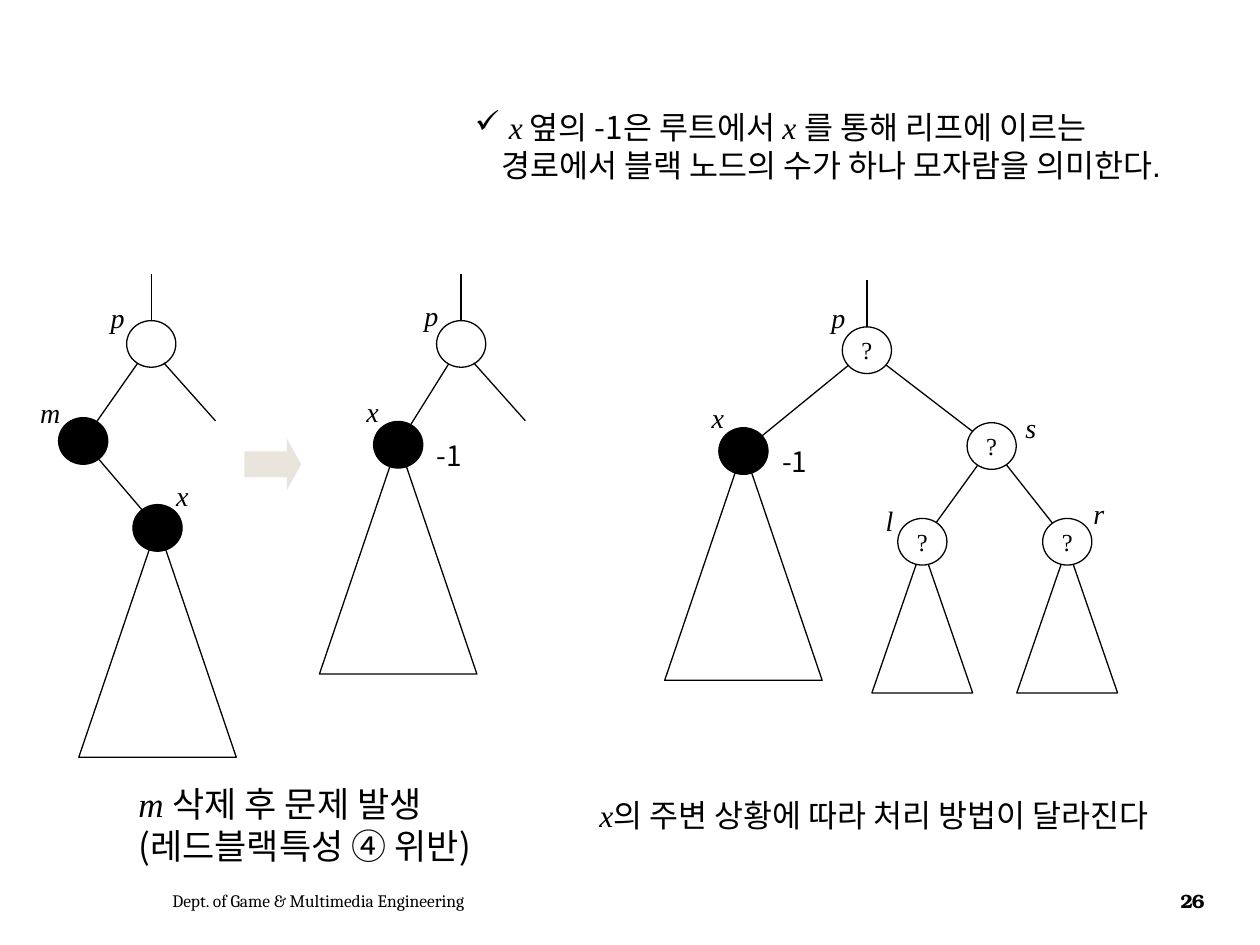
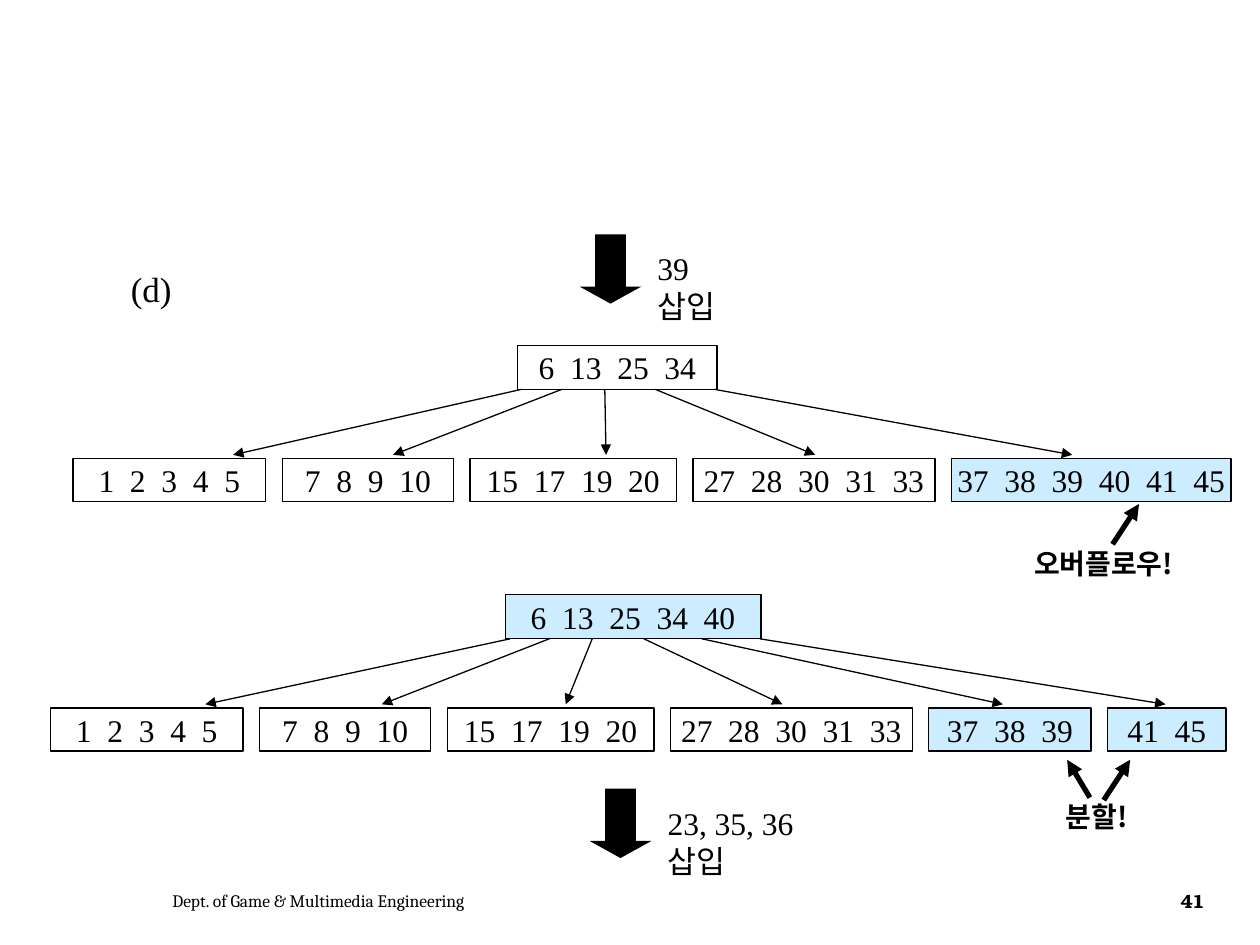
"""Builds two slides on red-black tree deletion and B-tree insertion."""
from math import hypot

from lxml.etree import SubElement
from pptx import Presentation
from pptx.dml.color import RGBColor
from pptx.enum.shapes import MSO_CONNECTOR, MSO_SHAPE as SHAPE
from pptx.enum.text import MSO_ANCHOR as ANCHOR, MSO_AUTO_SIZE as AUTO, PP_ALIGN as ALIGN
from pptx.oxml.ns import qn
from pptx.util import Inches, Pt

COLORS = {"ink": "000000", "paper": "FFFFFF", "sand": "E9E5DC", "changed": "CCECFF"}
SERIF, KOREAN, SANS = "Times New Roman", "Noto Sans CJK KR", "Arial"
FOOTER = "Dept. of Game & Multimedia Engineering"

NODE_W, NODE_H, TRIM, STUB = 0.39, 0.37, 0.19, 0.37
LARGE, SMALL = (1.25, 1.84, -0.02), (0.8, 1.16, 0.04)

TREES = [
    {"nodes": {"p": (1.2, 2.73, "paper", ""), "m": (0.66, 3.5, "ink", ""),
               "x": (1.25, 4.19, "ink", "")},
     "edges": ["pm", "mx"], "subtrees": {"x": LARGE}, "open_branch": True,
     "labels": {"p": (0.78, 2.34), "m": (0.22, 3.09), "x": (1.3, 3.75)}},
    {"nodes": {"p": (3.66, 2.73, "paper", ""), "x": (3.16, 3.53, "ink", "")},
     "edges": ["px"], "subtrees": {"x": LARGE}, "open_branch": True,
     "labels": {"p": (3.27, 2.32), "x": (2.81, 3.08)}, "deficit": (3.37, 3.43)},
    {"nodes": {"p": (6.88, 2.78, "paper", "?"), "x": (5.9, 3.58, "ink", ""),
               "s": (7.87, 3.54, "paper", "?"), "l": (7.32, 4.3, "paper", "?"),
               "r": (8.47, 4.3, "paper", "?")},
     "edges": ["px", "ps", "sl", "sr"],
     "subtrees": {"x": LARGE, "l": SMALL, "r": SMALL}, "open_branch": False,
     "labels": {"p": (6.5, 2.34), "x": (5.55, 3.13), "s": (8.04, 3.21),
                "l": (6.93, 3.95), "r": (8.58, 3.89)}, "deficit": (6.11, 3.48)},
]
DELETION_PROBLEM = [
    [("m ", SERIF, True), ("삭제 후 문제 발생", KOREAN, False)],
    [("(레드블랙특성 ④ 위반)", KOREAN, False)],
]
CASES_DIFFER = [[("x", SERIF, True), ("의 주변 상황에 따라 처리 방법이 달라진다", KOREAN, False)]]
DEFICIT_MEANING = [
    [("x", SERIF, True), (" 옆의 -1은 루트에서 ", KOREAN, False), ("x ", SERIF, True),
     ("를 통해 리프에 이르는", SANS, False)],
    [("경로에서 블랙 노드의 수가 하나 모자람을 의미한다.", SANS, False)],
]

LEAF_GAP, LEAF_H, ROOT_H, POINTER_GAP = 0.13, 0.34, 0.35, 0.03
STABLE_LEAVES = [((1, 2, 3, 4, 5), 1.53, None), ((7, 8, 9, 10), 1.36, None),
                 ((15, 17, 19, 20), 1.64, None), ((27, 28, 30, 31, 33), 1.92, None)]
B_TREES = [
    {"root": ((6, 13, 25, 34), 1.58, None), "root_at": (4.11, 2.74), "leaves_at": (0.58, 3.64),
     "leaves": STABLE_LEAVES + [((37, 38, 39, 40, 41, 45), 2.22, "changed")],
     "pointers": [(4.14, 1.85), (4.46, 3.12), (4.8, 4.81), (5.2, 6.47), (5.67, 8.51)]},
    {"root": ((6, 13, 25, 34, 40), 2.03, "changed"), "root_at": (4.01, 4.72),
     "leaves_at": (0.4, 5.62),
     "leaves": STABLE_LEAVES + [((37, 38, 39), 1.29, "changed"), ((41, 45), 0.94, "changed")],
     "pointers": [(4.05, 1.63), (4.36, 3.03), (4.7, 4.49), (5.11, 6.21), (5.57, 7.96),
                  (6.03, 9.25)]},
]
INSERTIONS = [("39 삽입", 4.6, 1.86, 0.9), ("23, 35, 36 삽입", 4.68, 6.26, 1.5)]
REMARKS = [("오버플로우!", 8.11, 4.29, 1.37), ("분할!", 8.36, 6.3, 0.71)]
REMARK_ARROWS = [((8.83, 4.32), (9.04, 4)), ((8.76, 6.35), (8.97, 6.03)),
                 ((8.65, 6.33), (8.47, 6.03))]


def rgb(name):
    return RGBColor.from_string(COLORS[name])


def add_run(paragraph, text, font, size, italic=False, bold=False):
    run = paragraph.add_run()
    run.text = text
    run.font.size, run.font.italic, run.font.bold = Pt(size), italic, bold
    run.font.color.rgb = rgb("ink")
    run.font.name = font
    SubElement(run.font._element, qn("a:ea")).set("typeface", KOREAN)
    return run


def add_text(slide, left, top, width, height, paragraphs, size, bold=False, wrap=False):
    box = slide.shapes.add_textbox(*map(Inches, (left, top, width, height)))
    frame = box.text_frame
    frame.word_wrap, frame.auto_size = wrap, AUTO.SHAPE_TO_FIT_TEXT
    for index, runs in enumerate(paragraphs):
        paragraph = frame.add_paragraph() if index else frame.paragraphs[0]
        for text, font, italic in runs:
            add_run(paragraph, text, font, size, italic, bold)
    return frame


def add_figure(slide, kind, left, top, width, height, fill=None, outlined=True, text="", size=14):
    figure = slide.shapes.add_shape(kind, *map(Inches, (left, top, width, height)))
    figure.shadow.inherit = False
    if fill:
        figure.fill.solid()
        figure.fill.fore_color.rgb = rgb(fill)
    else:
        figure.fill.background()
    if outlined:
        figure.line.color.rgb, figure.line.width = rgb("ink"), Pt(0.75)
    else:
        figure.line.fill.background()
    if text:
        frame = figure.text_frame
        frame.word_wrap, frame.vertical_anchor = False, ANCHOR.MIDDLE
        frame.paragraphs[0].alignment = ALIGN.CENTER
        add_run(frame.paragraphs[0], text, SERIF, size)
    return figure


def add_line(slide, start, end, width=0.75, arrow=False):
    line = slide.shapes.add_connector(MSO_CONNECTOR.STRAIGHT, *map(Inches, (*start, *end)))
    line.line.color.rgb, line.line.width = rgb("ink"), Pt(width)
    if arrow:
        SubElement(line.line._get_or_add_ln(), qn("a:tailEnd")).set("type", "triangle")
    SubElement(line._element.spPr, qn("a:effectLst"))


def add_block_arrow(slide, kind, left, top, width, height, fill):
    arrow = add_figure(slide, kind, left, top, width, height, fill, outlined=False)
    arrow.adjustments[0], arrow.adjustments[1] = 0.5, 0.276


def add_footer(slide, number):
    for text, left, width, font, size in ((FOOTER, 1.27, 4.59, "Cambria", 10),
                                          (number, 9.2, 0.53, "TeX Gyre Bonum", 11)):
        is_number = text == number
        frame = add_text(slide, left, 6.95, width, 0.4, [], size, wrap=True)
        frame.auto_size, frame.vertical_anchor = AUTO.NONE, ANCHOR.MIDDLE
        run = add_run(frame.paragraphs[0], text, font, size, bold=is_number)
        if is_number:
            frame.paragraphs[0].alignment = ALIGN.CENTER
            run.font._element.set("spc", "-70")


def draw_tree(slide, tree):
    nodes = tree["nodes"]
    for name, (width, height, drop) in tree["subtrees"].items():
        x, y = nodes[name][:2]
        add_figure(slide, SHAPE.ISOSCELES_TRIANGLE, x - width / 2, y + drop, width, height)
    for x, y, fill, mark in nodes.values():
        add_figure(slide, SHAPE.OVAL, x - NODE_W / 2, y - NODE_H / 2, NODE_W, NODE_H, fill,
                   text=mark)
    for parent, child in tree["edges"]:
        (x1, y1), (x2, y2) = nodes[parent][:2], nodes[child][:2]
        reach = TRIM / hypot(x2 - x1, y2 - y1)
        dx, dy = (x2 - x1) * reach, (y2 - y1) * reach
        add_line(slide, (x1 + dx, y1 + dy), (x2 - dx, y2 - dy))
    x, y = nodes["p"][:2]
    add_line(slide, (x, y - NODE_H / 2 - STUB), (x, y - NODE_H / 2))
    if tree["open_branch"]:
        add_line(slide, (x + 0.1, y + 0.15), (x + 0.51, y + 0.61))
    for name, (left, top) in tree["labels"].items():
        add_text(slide, left, top, 0.34, 0.37, [[(name, SERIF, True)]], 16, wrap=True)
    if "deficit" in tree:
        add_text(slide, *tree["deficit"], 0.47, 0.37, [[("-1", KOREAN, False)]], 16)


def draw_keys(slide, left, top, height, node):
    keys, width, fill = node
    add_figure(slide, SHAPE.RECTANGLE, left, top, width, height, fill,
               text="  ".join(map(str, keys)), size=18)
    return left + width + LEAF_GAP


def draw_b_tree(slide, tree):
    root_left, root_top = tree["root_at"]
    left, leaf_top = tree["leaves_at"]
    draw_keys(slide, root_left, root_top, ROOT_H, tree["root"])
    for leaf in tree["leaves"]:
        left = draw_keys(slide, left, leaf_top, LEAF_H, leaf)
    for start, end in tree["pointers"]:
        add_line(slide, (start, root_top + ROOT_H), (end, leaf_top - POINTER_GAP), arrow=True)


def build_deletion(slide):
    for tree in TREES:
        draw_tree(slide, tree)
    add_block_arrow(slide, SHAPE.RIGHT_ARROW, 1.94, 3.48, 0.45, 0.41, "sand")
    add_text(slide, 1, 6.16, 3.09, 0.77, DELETION_PROBLEM, 20)
    add_text(slide, 4.66, 6.27, 5.06, 0.4, CASES_DIFFER, 18)
    meaning = add_text(slide, 3.67, 0.81, 6.15, 0.7, DEFICIT_MEANING, 18)
    for paragraph, margin, hanging in zip(meaning.paragraphs, (0.27, 0.21), (0.27, 0)):
        properties = paragraph._p.get_or_add_pPr()
        properties.set("marL", str(Inches(margin)))
        properties.set("indent", str(-Inches(hanging)))
        if hanging:
            SubElement(properties, qn("a:buChar")).set("char", "✓")
    add_footer(slide, "26")


def build_insertion(slide):
    add_text(slide, 0.94, 2.07, 0.8, 0.43, [[("(d)", SERIF, False)]], 20, wrap=True)
    for tree in B_TREES:
        draw_b_tree(slide, tree)
    for text, left, top, width in INSERTIONS:
        add_block_arrow(slide, SHAPE.DOWN_ARROW, left, top, 0.49, 0.55, "ink")
        add_text(slide, left + 0.52, top + 0.07, width, 0.7, [[(text, SERIF, False)]], 18, wrap=True)
    for text, left, top, width in REMARKS:
        add_text(slide, left, top, width, 0.37, [[(text, KOREAN, False)]], 16, bold=True)
    for start, end in REMARK_ARROWS:
        add_line(slide, start, end, width=3, arrow=True)
    add_footer(slide, "41")


def main():
    deck = Presentation()
    deck.slide_width, deck.slide_height = Inches(10), Inches(7.5)
    for build in (build_deletion, build_insertion):
        build(deck.slides.add_slide(deck.slide_layouts[6]))
    deck.save("out.pptx")


if __name__ == "__main__":
    main()
